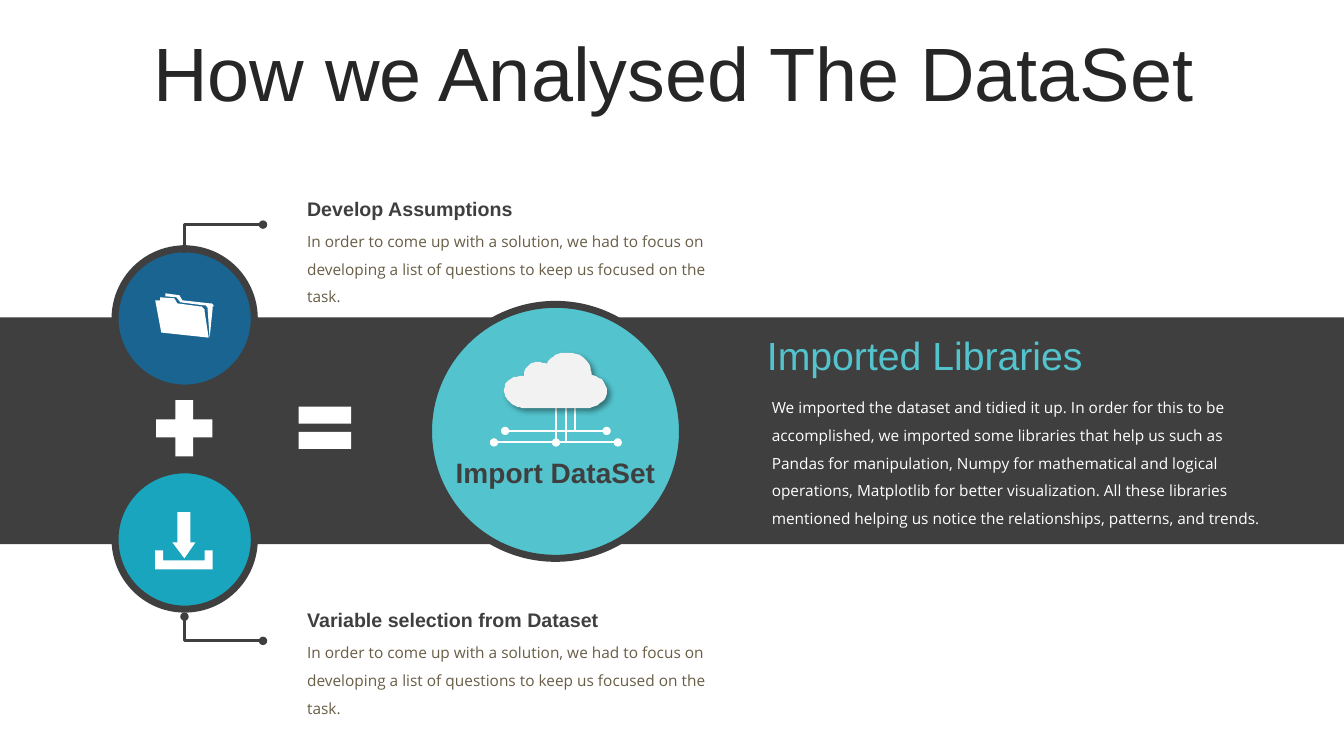
from lxml.etree import SubElement
from pptx import Presentation
from pptx.dml.color import RGBColor
from pptx.enum.shapes import MSO_CONNECTOR as Connector, MSO_SHAPE as Shape
from pptx.enum.text import MSO_ANCHOR as Anchor, MSO_AUTO_SIZE as AutoSize, PP_ALIGN as Align
from pptx.oxml.ns import qn
from pptx.util import Cm, Pt

DARK, WHITE, AQUA = "3F3F3F", "FFFFFF", "53C3CD"
HEADING = dict(size=Pt(14), name="Arial", bold=True)
BODY = dict(size=Pt(11), name="Open Sans")

# Icon outlines in hundredths of an inch: pairs are line ends, sixes are Bezier curves.
CLOUD = [[(564, 350), (565, 350, 566, 350, 567, 350), (583, 352, 587, 365, 587, 372),
          (602, 375, 603, 386, 602, 391), (600, 401, 586, 405, 581, 405), (520, 405),
          (512, 404, 507, 401, 503, 396), (499, 391, 500, 384, 502, 380),
          (504, 378, 511, 372, 520, 373), (519, 368, 522, 363, 526, 361),
          (531, 358, 538, 359, 542, 361), (544, 357, 551, 349, 564, 350)]]
FOLDER = [[(159, 295), (173, 296), (176, 301), (198, 304), (202, 304, 203, 307, 203, 309),
           (207, 335), (160, 330), (154, 298), (159, 298)],
          [(164, 291), (178, 293), (181, 298), (208, 301), (212, 301, 212, 303, 211, 306),
           (208, 335), (206, 307), (206, 305, 205, 303, 202, 303), (179, 300), (175, 295),
           (164, 294)]]
DOWNLOAD = [[(154, 546), (162, 546), (162, 556), (203, 556), (203, 546), (211, 546),
             (211, 565), (154, 565)],
            [(176, 508), (189, 508), (189, 538), (194, 538), (183, 554), (171, 538),
             (176, 538)]]


def color(hex_string):
    return RGBColor.from_string(hex_string)


def format_text(frame, text, font, fill, **paragraph_format):
    paragraph = frame.paragraphs[0]
    run = paragraph.add_run()
    run.text = text
    for target, values in ((run.font, font), (paragraph, paragraph_format)):
        for attribute, value in values.items():
            setattr(target, attribute, value)
    run.font.color.rgb = color(fill)


def add_title(slide, text):
    title = slide.shapes.title
    place = dict(left=Cm(0.89), top=Cm(0.94), width=Cm(32.16), height=Cm(2.01))
    for attribute, value in place.items():
        setattr(title, attribute, value)
    frame = title.text_frame
    frame.vertical_anchor = Anchor.MIDDLE
    frame.auto_size = AutoSize.NONE
    format_text(frame, text, dict(size=Pt(54), name="Arial"), "262626",
                alignment=Align.CENTER, line_spacing=0.9)


def add_text(slide, box, text, font, fill, **paragraph_format):
    frame = slide.shapes.add_textbox(*map(Cm, box)).text_frame
    frame.word_wrap = True
    frame.auto_size = AutoSize.SHAPE_TO_FIT_TEXT
    format_text(frame, text, font, fill, **paragraph_format)


def paint(shape, fill):
    shape.shadow.inherit = False
    shape.fill.solid()
    shape.fill.fore_color.rgb = color(fill)
    shape.line.fill.background()


def add_shape(slide, kind, box, fill, adjustments=()):
    shape = slide.shapes.add_shape(kind, *map(Cm, box))
    paint(shape, fill)
    for index, value in enumerate(adjustments):
        shape.adjustments[index] = value
    return shape


def add_disc(slide, left, top, size, fill):
    disc = add_shape(slide, Shape.OVAL, (left, top, size, size), fill)
    disc.line.color.rgb = color(DARK)
    disc.line.width = Pt(5)


def add_wire(slide, start, end, fill, width, ends=("headEnd",)):
    """Straight wire, or one that runs sideways from start and then turns towards end."""
    bent = start[0] != end[0]
    kind = Connector.ELBOW if bent else Connector.STRAIGHT
    wire = slide.shapes.add_connector(kind, *map(Cm, start + end))
    wire.line.color.rgb = color(fill)
    wire.line.width = Pt(width)
    properties = wire._element.spPr
    if bent:
        properties.find(qn("a:prstGeom")).set("prst", "bentConnector2")
    for name in ends:
        SubElement(properties.find(qn("a:ln")), qn("a:" + name), type="oval")
    SubElement(properties, qn("a:effectLst"))


def flatten(contour, steps=10):
    points = [contour[0]]
    for segment in contour[1:]:
        if len(segment) == 2:
            points.append(segment)
            continue
        corners = (points[-1], segment[:2], segment[2:4], segment[4:])
        for step in range(1, steps + 1):
            t = step / steps
            weights = ((1 - t) ** 3, 3 * t * (1 - t) ** 2, 3 * t * t * (1 - t), t ** 3)
            points.append(tuple(sum(w * corner[axis] for w, corner in zip(weights, corners))
                                for axis in (0, 1)))
    return points


def add_icon(slide, contours, fill):
    first, *others = map(flatten, contours)
    builder = slide.shapes.build_freeform(*first[0], scale=Cm(2.54) / 100)
    builder.add_line_segments(first[1:], close=True)
    for points in others:
        builder.move_to(*points[0])
        builder.add_line_segments(points[1:], close=True)
    icon = builder.convert_to_shape()
    paint(icon, fill)
    return icon


def add_soft_shadow(shape):
    effects = shape._element.spPr.find(qn("a:effectLst"))
    shadow = SubElement(effects, qn("a:outerShdw"), blurRad=str(Pt(4)), dist=str(Pt(3)),
                        dir="2700000", algn="tl", rotWithShape="0")
    black = SubElement(shadow, qn("a:srgbClr"), val="000000")
    SubElement(black, qn("a:alpha"), val="40000")


def add_note(slide, top, heading):
    add_text(slide, (7.49, top + 0.66, 10.9, 2.13),
             "In order to come up with a solution, we had to focus on developing a list of "
             "questions to keep us focused on the task.", BODY, "695D46", line_spacing=1.5)
    add_text(slide, (7.49, top, 10.9, 0.86), heading, HEADING, DARK)


def add_cloud_network(slide):
    center = 14.01
    for row, reach, trunk, top in ((10.86, 1.28, 14.5, 10.21), (11.15, 1.56, 14.26, 10.11)):
        for side in (-1, 1):
            add_wire(slide, (center + side * reach, row), (trunk, top), WHITE, 1.5)
    add_wire(slide, (center, 11.15), (center, 9.93), WHITE, 1.5)
    add_soft_shadow(add_icon(slide, CLOUD, "F2F2F2"))


def main():
    presentation = Presentation()
    presentation.slide_width, presentation.slide_height = Cm(33.87), Cm(19.05)
    slide = presentation.slides.add_slide(presentation.slide_layouts[5])

    add_title(slide, "How we Analysed The DataSet")
    add_shape(slide, Shape.RECTANGLE, (0, 8, 33.87, 5.71), DARK)
    add_disc(slide, 2.9, 6.27, 3.51, "196491")
    add_disc(slide, 2.9, 11.84, 3.51, "19A5BE")
    add_shape(slide, Shape.MATH_PLUS, (3.68, 9.83, 1.93, 1.93), WHITE, [0.235])
    add_disc(slide, 10.8, 7.67, 6.4, AQUA)

    add_text(slide, (19.08, 8.23, 12.7, 1.45), "Imported Libraries",
             dict(size=Pt(28), name="Arial"), AQUA)
    add_text(slide, (19.2, 9.68, 12.95, 3.56),
             "We imported the dataset and tidied it up. In order for this to be accomplished, "
             "we imported some libraries that help us such as Pandas for manipulation, Numpy "
             "for mathematical and logical operations, Matplotlib for better visualization. "
             "All these libraries mentioned helping us notice the relationships, patterns, "
             "and trends.", BODY, WHITE, line_spacing=1.5)
    add_shape(slide, Shape.MATH_EQUAL, (7.29, 9.88, 1.8, 1.8), WHITE, [0.235, 0.118])
    add_text(slide, (10.8, 11.35, 6.4, 1.12), "Import DataSet",
             {**HEADING, "size": Pt(20)}, DARK, alignment=Align.CENTER)

    add_note(slide, 15.19, "Variable selection from Dataset")
    add_note(slide, 4.83, "Develop Assumptions")
    for outer, inner in ((5.66, 6.27), (16.15, 15.54)):
        add_wire(slide, (6.63, outer), (4.65, inner), DARK, 2, ("headEnd", "tailEnd"))
    add_cloud_network(slide)
    add_icon(slide, FOLDER, WHITE)
    add_icon(slide, DOWNLOAD, WHITE)

    presentation.save("out.pptx")


if __name__ == "__main__":
    main()
